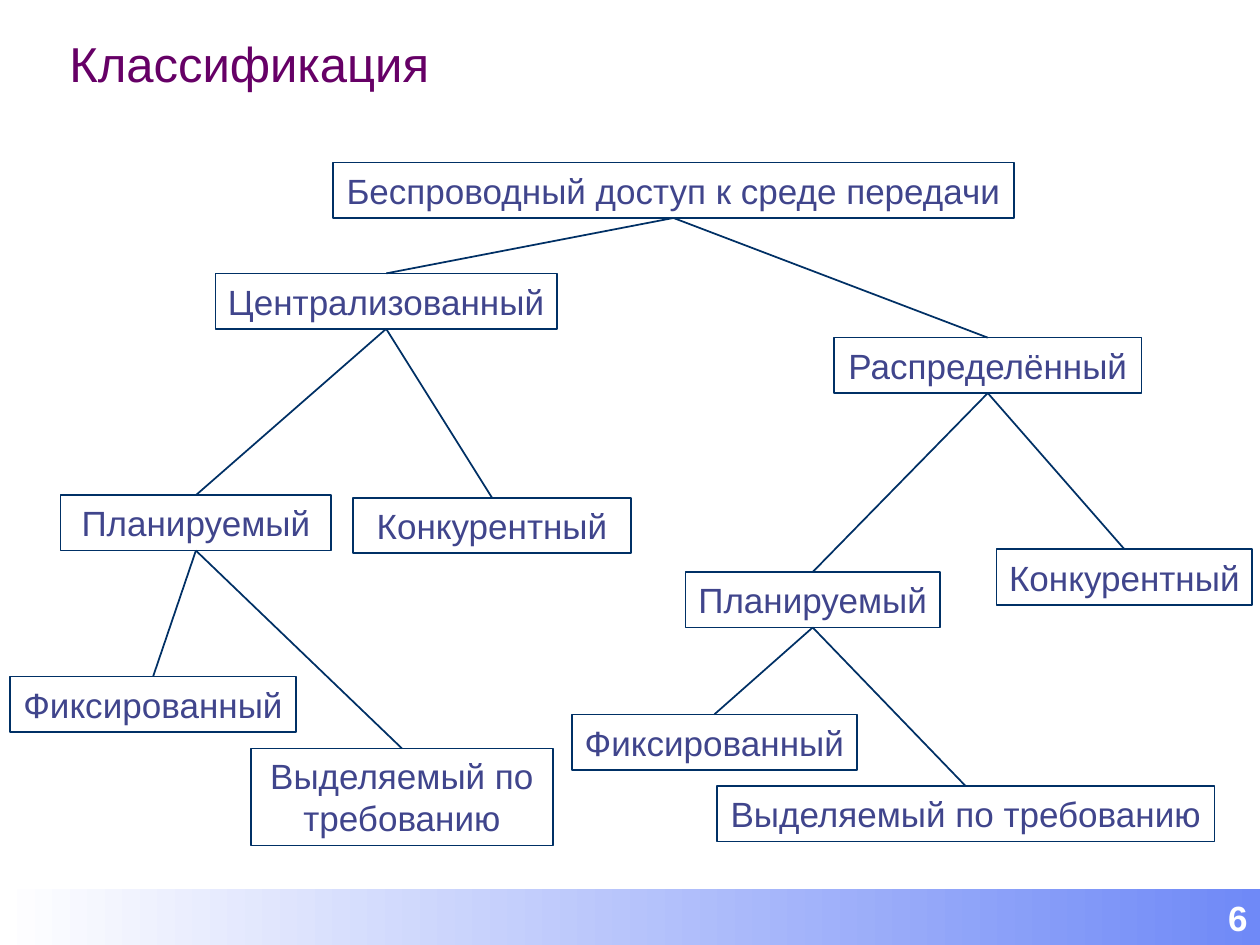
from lxml import etree
from pptx import Presentation
from pptx.dml.color import RGBColor
from pptx.enum.shapes import MSO_CONNECTOR, MSO_SHAPE
from pptx.enum.text import MSO_ANCHOR, PP_ALIGN
from pptx.oxml.ns import qn
from pptx.util import Inches, Pt

RECT = MSO_SHAPE.RECTANGLE
STRAIGHT = MSO_CONNECTOR.STRAIGHT
LEFT, CENTER, RIGHT = PP_ALIGN.LEFT, PP_ALIGN.CENTER, PP_ALIGN.RIGHT
MIDDLE, BOTTOM = MSO_ANCHOR.MIDDLE, MSO_ANCHOR.BOTTOM

WHITE = RGBColor(0xFF, 0xFF, 0xFF)
PLUM = RGBColor(0x66, 0x00, 0x66)
NAVY = RGBColor(0x00, 0x30, 0x65)
INDIGO = RGBColor(0x40, 0x45, 0x8C)
BLUE = RGBColor(0x6F, 0x89, 0xF7)

FONT = "Arial"
ROW = 0.44
FOOT, TOP = 2, 0

TREE = ("Беспроводный доступ к среде передачи", (2.64, 1.29, 5.41, ROW), [
    ("Централизованный", (1.71, 2.17, 2.71, ROW), [
        ("Планируемый", (0.48, 3.93, 2.15, ROW), [
            ("Фиксированный", (0.08, 5.37, 2.27, ROW), []),
            ("Выделяемый по требованию", (1.99, 5.94, 2.4, 0.77), []),
        ]),
        ("Конкурентный", (2.8, 3.95, 2.21, ROW), []),
    ]),
    ("Распределённый", (6.62, 2.68, 2.44, ROW), [
        ("Планируемый", (5.44, 4.54, 2.02, ROW), [
            ("Фиксированный", (4.54, 5.67, 2.26, ROW), []),
            ("Выделяемый по требованию", (5.69, 6.24, 3.95, ROW), []),
        ]),
        ("Конкурентный", (7.91, 4.36, 2.03, ROW), []),
    ]),
])


def write(shape, text, size=20, color=INDIGO, bold=False, align=CENTER,
          anchor=MIDDLE, wrap=True):
    """Put formatted text into a shape."""
    frame = shape.text_frame
    frame.word_wrap = wrap
    frame.vertical_anchor = anchor
    para = frame.paragraphs[0]
    para.text = text
    para.alignment = align
    font = para.font
    font.name, font.size, font.bold = FONT, Pt(size), bold
    font.color.rgb = color


def add_rect(slide, box):
    """Add a rectangle without a shadow."""
    shape = slide.shapes.add_shape(RECT, *map(Inches, box))
    shape.shadow.inherit = False
    return shape


def add_link(slide, parent, child):
    """Join the foot of the parent to the top of the child."""
    link = slide.shapes.add_connector(STRAIGHT, 0, 0, 0, 0)
    link.begin_connect(parent, FOOT)
    link.end_connect(child, TOP)
    link.line.color.rgb = NAVY
    link.line.width = Pt(1)
    props = link._element.spPr
    etree.SubElement(props, qn("a:effectLst"))


def add_tree(slide, node):
    """Draw a node with its branches and return its box."""
    text, box, kids = node
    shape = add_rect(slide, box)
    shape.fill.background()
    shape.line.color.rgb = NAVY
    shape.line.width = Pt(1)
    write(shape, text, wrap=box[3] > ROW)
    for kid in kids:
        add_link(slide, shape, add_tree(slide, kid))
    return shape


def add_title(slide, text, box):
    """Place and format the slide title."""
    title = slide.shapes.title
    title.left, title.top, title.width, title.height = map(Inches, box)
    write(title, text, size=28, color=PLUM, align=LEFT, anchor=BOTTOM)


def add_footer(slide, number, box):
    """Draw the gradient bar with the slide number."""
    bar = add_rect(slide, box)
    bar.line.fill.background()
    bar.fill.gradient()
    bar.fill.gradient_angle = 0
    for stop, place, color in zip(bar.fill.gradient_stops, (0, 1), (WHITE, BLUE)):
        stop.position = place
        stop.color.rgb = color
    write(bar, number, color=WHITE, bold=True, align=RIGHT)


def main():
    """Build and save the slide."""
    deck = Presentation()
    deck.slide_width, deck.slide_height = Inches(10), Inches(7.5)
    slide = deck.slides.add_slide(deck.slide_layouts[5])
    add_title(slide, "Классификация", (0.45, 0.16, 9.33, 0.62))
    add_tree(slide, TREE)
    add_footer(slide, "6", (0, 7.06, 10, ROW))
    deck.save("out.pptx")


if __name__ == "__main__":
    main()
